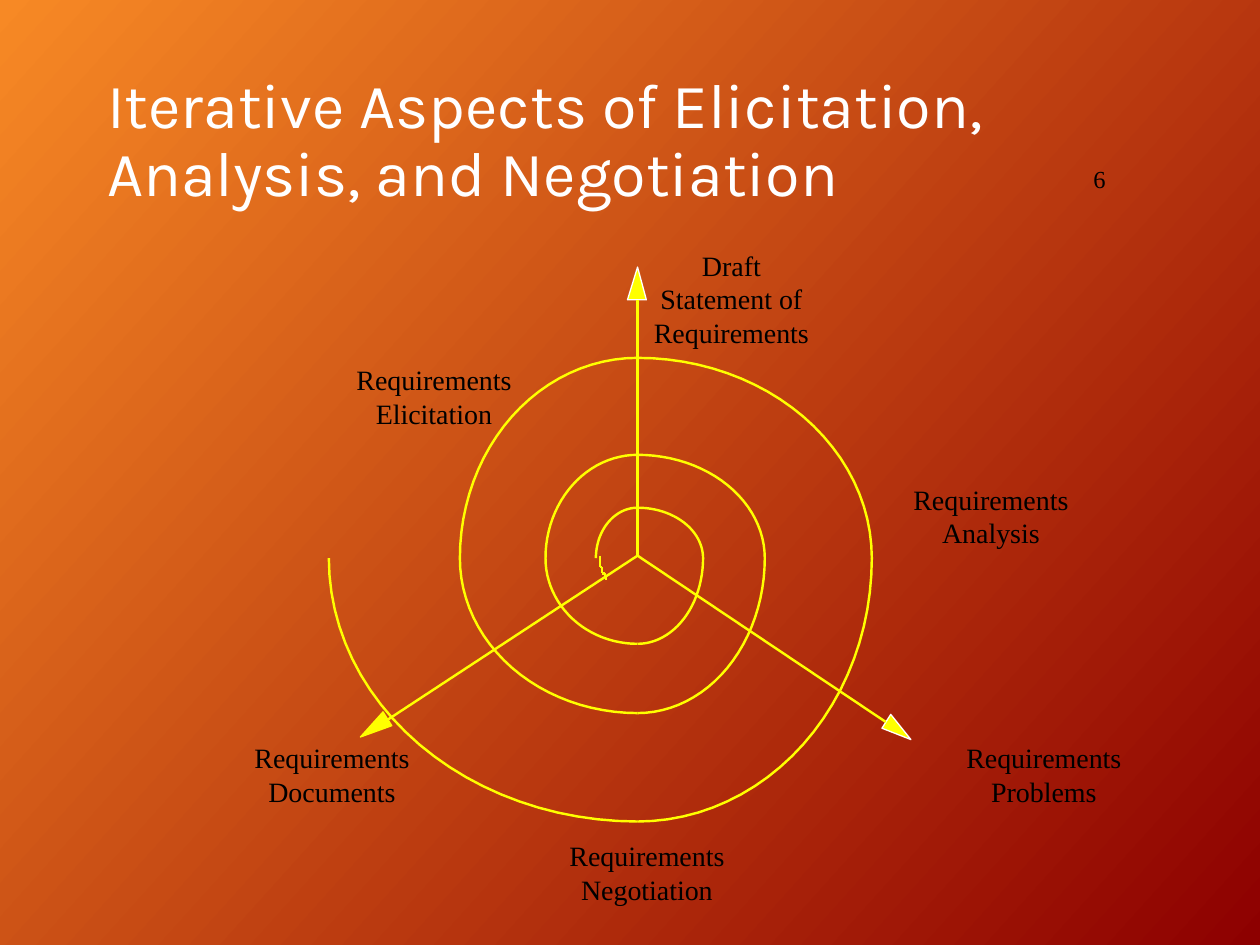
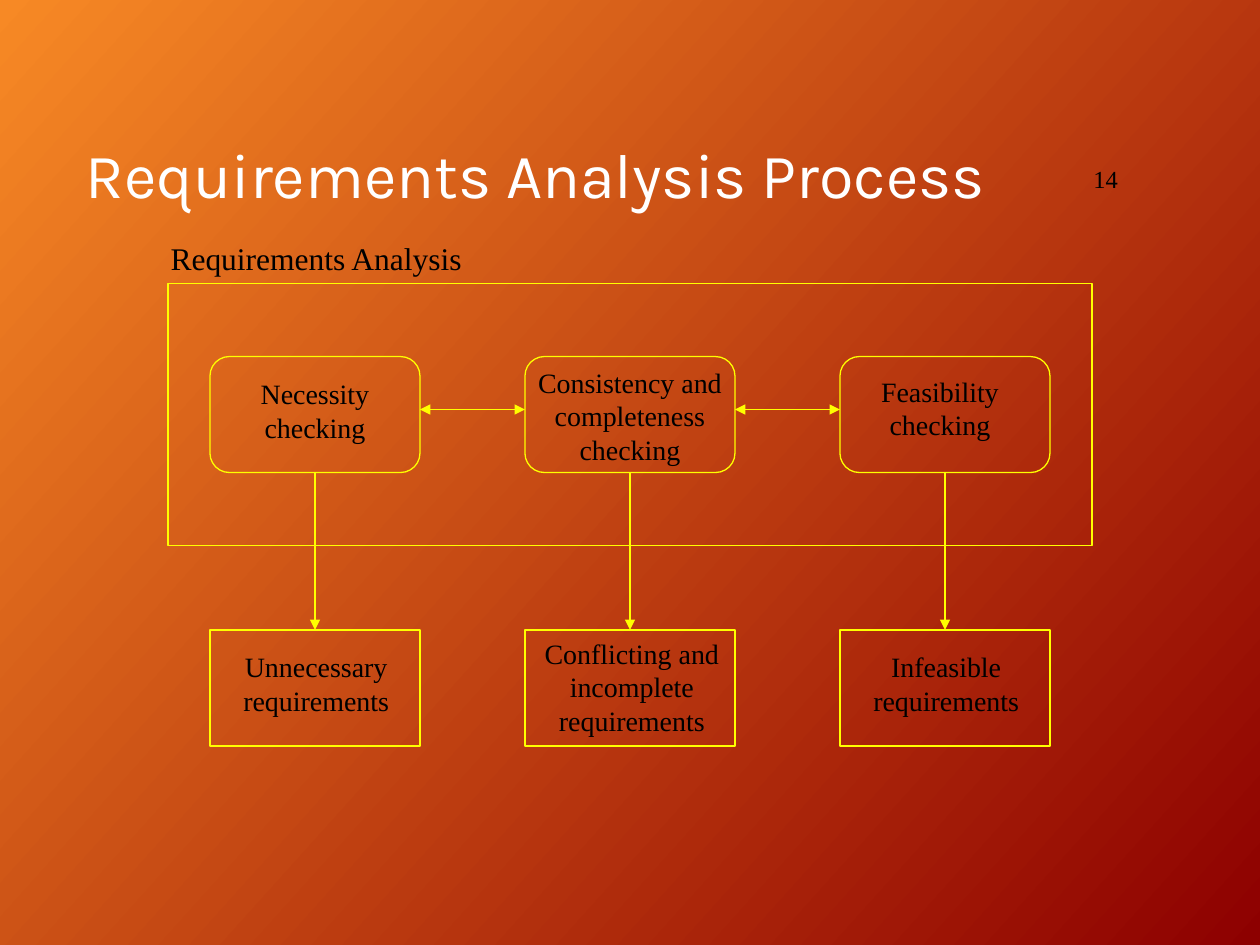
from dataclasses import dataclass
from itertools import pairwise
from math import cos, pi, sin

from lxml import etree
from pptx import Presentation
from pptx.dml.color import RGBColor
from pptx.enum.shapes import MSO_CONNECTOR, MSO_SHAPE
from pptx.enum.text import MSO_ANCHOR, MSO_AUTO_SIZE, PP_ALIGN
from pptx.oxml.ns import qn
from pptx.util import Inches, Pt

STRAIGHT = MSO_CONNECTOR.STRAIGHT
RECTANGLE, ROUNDED = MSO_SHAPE.RECTANGLE, MSO_SHAPE.ROUNDED_RECTANGLE
MIDDLE = MSO_ANCHOR.MIDDLE
NO_FIT, GROW = MSO_AUTO_SIZE.NONE, MSO_AUTO_SIZE.SHAPE_TO_FIT_TEXT
LEFT, CENTER = PP_ALIGN.LEFT, PP_ALIGN.CENTER
TOP_SIDE, BOTTOM_SIDE = 0, 2
TITLE_ONLY = 5

COLORS = {"glow": "F78925", "ember": "8D0000", "line": "FFFF00",
          "title": "FFFFFF", "text": "000000"}
TITLE_FONT, BODY_FONT = "Karla", "Times New Roman"
SPIRAL_WIDTH, THIN_WIDTH = 1.39, 0.75

Point = tuple[float, float]


@dataclass
class Area:
    left: float
    top: float
    width: float
    height: float

    def lengths(self) -> list[int]:
        return [Inches(n) for n in (self.left, self.top, self.width, self.height)]


@dataclass
class Label:
    text: str
    area: Area
    size: int = 16


@dataclass
class Axis:
    line_end: Point
    head: list[Point]
    outline: str


@dataclass
class Check:
    """One column of the analysis process: a check and what it uncovers."""
    check: Label
    result: Label


def color(name: str) -> RGBColor:
    return RGBColor.from_string(COLORS[name])


# Shared drawing

def set_background(deck) -> None:
    fill = deck.slide_master.background.fill
    fill.gradient()
    fill.gradient_angle = 360 - 42
    for stop, position, name in zip(fill.gradient_stops, (0, 1), ("glow", "ember")):
        stop.position = position
        stop.color.rgb = color(name)


def format_paragraphs(frame, font_name: str, size: int, color_name: str, align) -> None:
    for para in frame.paragraphs:
        para.alignment = align
        para.font.name = font_name
        para.font.size = Pt(size)
        para.font.color.rgb = color(color_name)


def place(shape, area: Area) -> None:
    shape.left, shape.top, shape.width, shape.height = area.lengths()


def add_page(deck, title: str, title_area: Area, number: int):
    page = deck.slides.add_slide(deck.slide_layouts[TITLE_ONLY])
    place(page.shapes.title, title_area)
    frame = page.shapes.title.text_frame
    frame.text = title
    frame.auto_size = NO_FIT
    frame.vertical_anchor = MIDDLE
    format_paragraphs(frame, TITLE_FONT, 36, "title", LEFT)
    frame.paragraphs[0].line_spacing = 0.9

    number_box = page.shapes.add_textbox(*Area(8.58, 0.82, 1.27, 1.19).lengths())
    frame = number_box.text_frame
    frame.text = str(number)
    frame.word_wrap = True
    frame.vertical_anchor = MIDDLE
    format_paragraphs(frame, BODY_FONT, 14, "text", LEFT)
    return page


def add_label(page, label: Label) -> None:
    frame = page.shapes.add_textbox(*label.area.lengths()).text_frame
    frame.text = label.text
    frame.word_wrap = False
    frame.auto_size = GROW
    format_paragraphs(frame, BODY_FONT, label.size, "text", CENTER)


def set_outline(shape, width: float, name: str = "line") -> None:
    shape.line.color.rgb = color(name)
    shape.line.width = Pt(width)


def add_line(page, start: Point, end: Point, width: float, arrows: tuple[str, ...] = ()):
    """Draw a straight line; arrows names the ends (headEnd, tailEnd) with a triangle."""
    line = page.shapes.add_connector(STRAIGHT, *map(Inches, (*start, *end)))
    set_outline(line, width)
    properties = line.element.spPr
    for arrow in arrows:
        etree.SubElement(properties.find(qn("a:ln")), qn(f"a:{arrow}"), type="triangle")
    etree.SubElement(properties, qn("a:effectLst"))
    return line


def add_outline(page, points: list[Point], width: float, closed: bool = False,
                outline: str = "line"):
    start, *rest = [(Inches(x), Inches(y)) for x, y in points]
    builder = page.shapes.build_freeform(*start)
    builder.add_line_segments(rest, close=closed)
    shape = builder.convert_to_shape()
    shape.shadow.inherit = False
    if closed:
        shape.fill.solid()
        shape.fill.fore_color.rgb = color("line")
    else:
        shape.fill.background()
    set_outline(shape, width, outline)
    return shape


def add_box(page, kind, area: Area):
    box = page.shapes.add_shape(kind, *area.lengths())
    box.shadow.inherit = False
    box.fill.background()
    set_outline(box, THIN_WIDTH)
    return box


# Slide with the spiral

ORIGIN = (5.06, 4.41)
SPIRAL_CENTER = (5.06, 4.43)
# Distance from the centre at each quarter turn: left, top, right, bottom, left, ...
REACHES = [0.33, 0.4, 0.52, 0.68, 0.73, 0.82, 1.01, 1.23, 1.41, 1.59, 1.86, 2.09, 2.45]
ARC_STEPS = 24
SPIRAL_TAIL = [(4.76, 4.41), (4.76, 4.5), (4.78, 4.5), (4.78, 4.55),
               (4.8, 4.55), (4.8, 4.59), (4.82, 4.59)]
AXES = [
    Axis((5.06, 2.38), [(5.06, 2.12), (5.13, 2.38), (4.98, 2.38)], "title"),
    Axis((7.03, 5.73), [(7.23, 5.87), (7, 5.78), (7.07, 5.67)], "title"),
    Axis((3.08, 5.71), [(2.86, 5.85), (3.04, 5.65), (3.11, 5.76)], "line"),
]
SPIRAL_LABELS = [
    Label("Requirements\nElicitation", Area(2.73, 2.83, 1.43, 0.64)),
    Label("Requirements\nAnalysis", Area(7.15, 3.78, 1.43, 0.64)),
    Label("Draft\nStatement of\nRequirements", Area(5.09, 1.92, 1.43, 0.9)),
    Label("Requirements\nProblems", Area(7.57, 5.83, 1.43, 0.64)),
    Label("Requirements\nNegotiation", Area(4.42, 6.61, 1.43, 0.64)),
    Label("Requirements\nDocuments", Area(1.92, 5.83, 1.43, 0.64)),
]


def quarter_turn(turn: int, start_reach: float, end_reach: float) -> list[Point]:
    """Points of a quarter ellipse; even turns run from the horizontal axis."""
    across, down = (start_reach, end_reach) if turn % 2 == 0 else (end_reach, start_reach)
    angles = [pi + pi / 2 * (turn + step / ARC_STEPS) for step in range(ARC_STEPS + 1)]
    center_x, center_y = SPIRAL_CENTER
    return [(center_x + across * cos(a), center_y + down * sin(a)) for a in angles]


def build_spiral_page(deck) -> None:
    page = add_page(deck, "Iterative Aspects of Elicitation, Analysis, and Negotiation",
                    Area(0.75, 0.5, 8.5, 1.25), 6)
    for axis in AXES:
        add_outline(page, axis.head, THIN_WIDTH, closed=True, outline=axis.outline)
        add_line(page, axis.line_end, ORIGIN, SPIRAL_WIDTH)
    for turn, reaches in enumerate(pairwise(REACHES)):
        add_outline(page, quarter_turn(turn, *reaches), SPIRAL_WIDTH)
    for start, end in pairwise(SPIRAL_TAIL):
        add_line(page, start, end, SPIRAL_WIDTH)
    for label in SPIRAL_LABELS:
        add_label(page, label)


# Slide with the analysis process

BOX_WIDTH, BOX_HEIGHT = 5 / 3, 0.92
FIRST_LEFT, COLUMN_STEP = 5 / 3, 2.5
CHECK_TOP, RESULT_TOP, ARROW_Y = 2.83, 5, 3.25
CHECKS = [
    Check(Label("Necessity\nchecking", Area(1.95, 2.94, 1.1, 0.64)),
          Label("Unnecessary\nrequirements", Area(1.81, 5.11, 1.4, 0.64))),
    Check(Label("Consistency and\ncompleteness\nchecking", Area(4.15, 2.85, 1.7, 0.9)),
          Label("Conflicting and\nincomplete\nrequirements", Area(4.2, 5, 1.63, 0.9))),
    Check(Label("Feasibility\nchecking", Area(6.87, 2.92, 1.18, 0.64)),
          Label("Infeasible\nrequirements", Area(6.81, 5.11, 1.4, 0.64))),
]


def build_process_page(deck) -> None:
    page = add_page(deck, "Requirements Analysis Process", Area(0.58, 0.82, 7.54, 1.18), 14)
    lefts = [FIRST_LEFT + COLUMN_STEP * column for column in range(len(CHECKS))]

    # Boxes
    check_boxes = [add_box(page, ROUNDED, Area(left, CHECK_TOP, BOX_WIDTH, BOX_HEIGHT))
                   for left in lefts]
    add_box(page, RECTANGLE, Area(4 / 3, 2.25, 22 / 3, 2.08))
    result_boxes = [add_box(page, RECTANGLE, Area(left, RESULT_TOP, BOX_WIDTH, BOX_HEIGHT))
                    for left in lefts]

    # Arrows between checks, then down to the results
    for left, next_left in pairwise(lefts):
        add_line(page, (left + BOX_WIDTH, ARROW_Y), (next_left, ARROW_Y), THIN_WIDTH,
                 ("headEnd", "tailEnd"))
    for left, check_box, result_box in zip(lefts, check_boxes, result_boxes):
        middle = left + BOX_WIDTH / 2
        arrow = add_line(page, (middle, CHECK_TOP + BOX_HEIGHT), (middle, RESULT_TOP),
                         THIN_WIDTH, ("tailEnd",))
        arrow.begin_connect(check_box, BOTTOM_SIDE)
        arrow.end_connect(result_box, TOP_SIDE)

    # Wording
    for column in CHECKS:
        add_label(page, column.check)
        add_label(page, column.result)
    add_label(page, Label("Requirements Analysis", Area(1.25, 1.85, 2.52, 0.4), 18))


def main() -> None:
    deck = Presentation()
    deck.slide_width, deck.slide_height = Inches(10), Inches(7.5)
    set_background(deck)
    build_spiral_page(deck)
    build_process_page(deck)
    deck.save("out.pptx")


if __name__ == "__main__":
    main()
